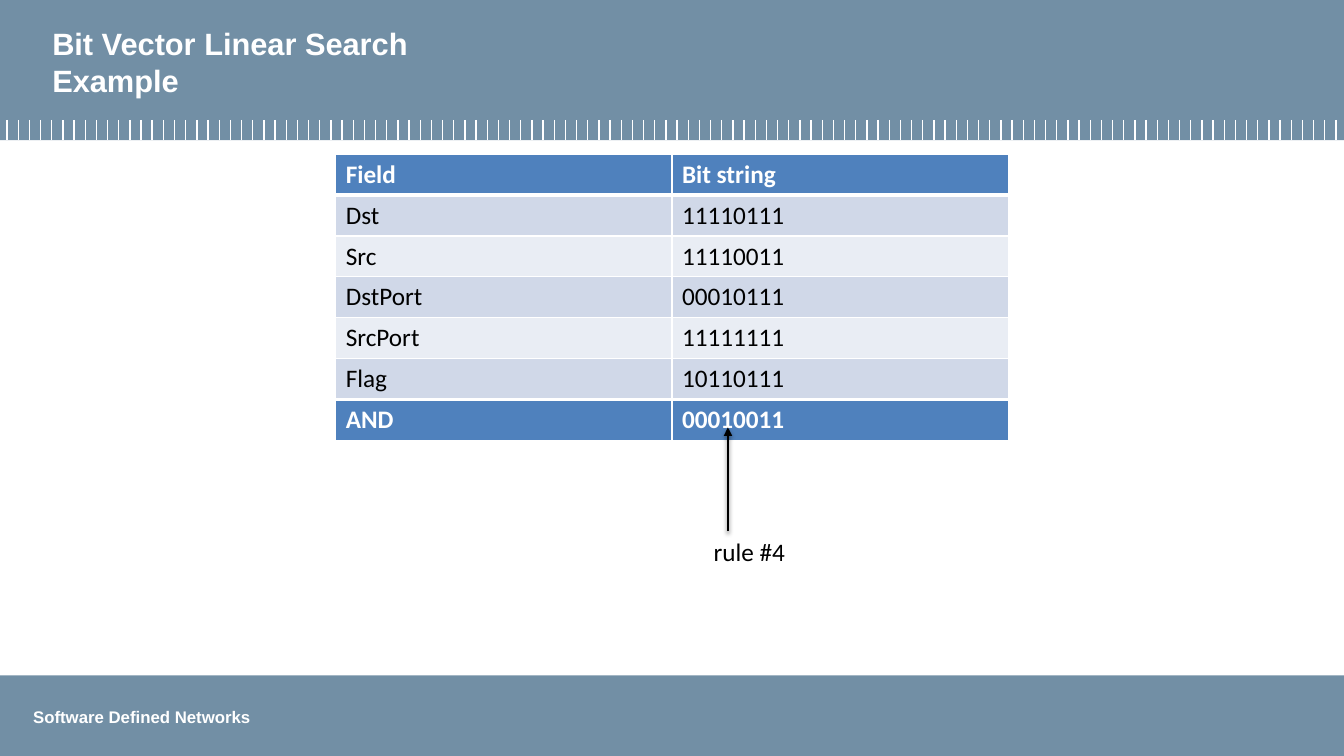
import pptx
import pptx.dml.color
import pptx.enum.shapes
import pptx.enum.text
import pptx.oxml
import pptx.oxml.ns
import pptx.util
from pptx.dml.color import RGBColor
from pptx.util import Inches, Pt

TITLE_LINES = ["Bit Vector Linear Search", "Example"]
FOOTER = "Software Defined Networks"
ARROW_LABEL = "rule #4"
ROWS = [
    ("Field", "Bit string"),
    ("Dst", "11110111"),
    ("Src", "11110011"),
    ("DstPort", "00010111"),
    ("SrcPort", "11111111"),
    ("Flag", "10110111"),
    ("AND", "00010011"),
]

WHITE = RGBColor(0xFF, 0xFF, 0xFF)
BLACK = RGBColor(0x00, 0x00, 0x00)
SLATE = RGBColor(0x72, 0x8F, 0xA5)
BLUE = RGBColor(0x4F, 0x81, 0xBD)
BAND_DARK = RGBColor(0xD0, 0xD8, 0xE8)
BAND_LIGHT = RGBColor(0xE9, 0xED, 0xF4)

SLIDE_WIDTH, SLIDE_HEIGHT = 13.33, 7.5
HEADER_HEIGHT, FOOTER_HEIGHT = 1.39, 0.8
TICK_TOP, FIRST_TICK, LAST_TICK, TICK_COUNT = 1.19, 0.07, 13.25, 120
TABLE_LEFT, TABLE_TOP, TABLE_WIDTH, TABLE_HEIGHT = 3.33, 1.53, 6.67, 2.84
ARROW_X, ARROW_START, ARROW_END = 7.22, 5.27, 4.24

NAMESPACE = pptx.oxml.ns.nsdecls("a")
ARROW_SHADOW = (
    f'<a:effectLst {NAMESPACE}>'
    f'<a:outerShdw blurRad="{Pt(3.1)}" dist="{Pt(1.6)}" dir="5400000" rotWithShape="0">'
    '<a:srgbClr val="000000"><a:alpha val="38000"/></a:srgbClr>'
    '</a:outerShdw></a:effectLst>'
)


def add_band(slide, top, height):
    band = slide.shapes.add_shape(
        pptx.enum.shapes.MSO_SHAPE.RECTANGLE,
        0, Inches(top), Inches(SLIDE_WIDTH), Inches(height))
    band.shadow.inherit = False
    band.fill.solid()
    band.fill.fore_color.rgb = SLATE
    band.line.fill.background()


def add_line(shapes, x, start, end, color, width, effects=f"<a:effectLst {NAMESPACE}/>"):
    """Draw a vertical line with the given effect list."""
    line = shapes.add_connector(
        pptx.enum.shapes.MSO_CONNECTOR.STRAIGHT,
        Inches(x), Inches(start), Inches(x), Inches(end))
    line.line.color.rgb = color
    line.line.width = Pt(width)
    line._element.spPr.append(pptx.oxml.parse_xml(effects))
    return line


def add_run(paragraph, text, font, size, color, bold=False):
    run = paragraph.add_run()
    run.text = text
    run.font.name = font
    run.font.size = Pt(size)
    run.font.color.rgb = color
    run.font.bold = bold


def add_text(slide, box, lines, font, size, color, bold=False, wrap=False):
    """Add a text box whose lines are parted by line breaks."""
    frame = slide.shapes.add_textbox(*map(Inches, box)).text_frame
    frame.word_wrap = wrap
    if wrap:
        frame.vertical_anchor = pptx.enum.text.MSO_ANCHOR.MIDDLE
    else:
        frame.auto_size = pptx.enum.text.MSO_AUTO_SIZE.SHAPE_TO_FIT_TEXT
    paragraph = frame.paragraphs[0]
    for index, line in enumerate(lines):
        if index:
            paragraph.add_line_break()
        add_run(paragraph, line, font, size, color, bold)


def set_borders(cell, top, bottom):
    """Give a cell white borders; top and bottom are widths in points."""
    properties = cell._tc.get_or_add_tcPr()
    for position, (side, width) in enumerate(
            [("L", 1), ("R", 1), ("T", top), ("B", bottom)]):
        properties.insert(position, pptx.oxml.parse_xml(
            f'<a:ln{side} {NAMESPACE} w="{Pt(width)}"><a:solidFill>'
            f'<a:srgbClr val="{WHITE}"/></a:solidFill></a:ln{side}>'))


def add_bit_table(slide):
    table = slide.shapes.add_table(
        len(ROWS), len(ROWS[0]), Inches(TABLE_LEFT), Inches(TABLE_TOP),
        Inches(TABLE_WIDTH), Inches(TABLE_HEIGHT)).table
    last = len(ROWS) - 1
    for row_index, row in enumerate(ROWS):
        strong = row_index in (0, last)
        band = BAND_DARK if row_index % 2 else BAND_LIGHT
        for column_index, text in enumerate(row):
            cell = table.cell(row_index, column_index)
            cell.fill.solid()
            cell.fill.fore_color.rgb = BLUE if strong else band
            set_borders(cell,
                        top=3 if row_index in (1, last) else 1,
                        bottom=3 if row_index in (0, last - 1) else 1)
            add_run(cell.text_frame.paragraphs[0], text, "Calibri", 18,
                    WHITE if strong else BLACK, strong)


def main():
    presentation = pptx.Presentation()
    presentation.slide_width = Inches(SLIDE_WIDTH)
    presentation.slide_height = Inches(SLIDE_HEIGHT)
    slide = presentation.slides.add_slide(presentation.slide_layouts[6])

    add_band(slide, 0, HEADER_HEIGHT)
    add_band(slide, SLIDE_HEIGHT - FOOTER_HEIGHT, FOOTER_HEIGHT)
    add_text(slide, (0.23, 6.96, 2.38, 0.3), [FOOTER], "Arial", 12, WHITE, bold=True)

    ticks = slide.shapes.add_group_shape()
    step = (LAST_TICK - FIRST_TICK) / (TICK_COUNT - 1)
    for index in range(TICK_COUNT):
        add_line(ticks.shapes, FIRST_TICK + index * step,
                 TICK_TOP, HEADER_HEIGHT, WHITE, 1)

    add_text(slide, (0.42, 0.15, 12.51, 0.92), TITLE_LINES, "Arial", 22, WHITE,
             bold=True, wrap=True)
    add_bit_table(slide)

    arrow = add_line(slide.shapes, ARROW_X, ARROW_START, ARROW_END, BLACK, 2, ARROW_SHADOW)
    arrow.line._get_or_add_ln().append(
        pptx.oxml.parse_xml(f'<a:tailEnd {NAMESPACE} type="triangle"/>'))
    add_text(slide, (6.98, 5.27, 0.92, 0.4), [ARROW_LABEL], "Calibri", 18, BLACK)

    presentation.save("out.pptx")


if __name__ == "__main__":
    main()
